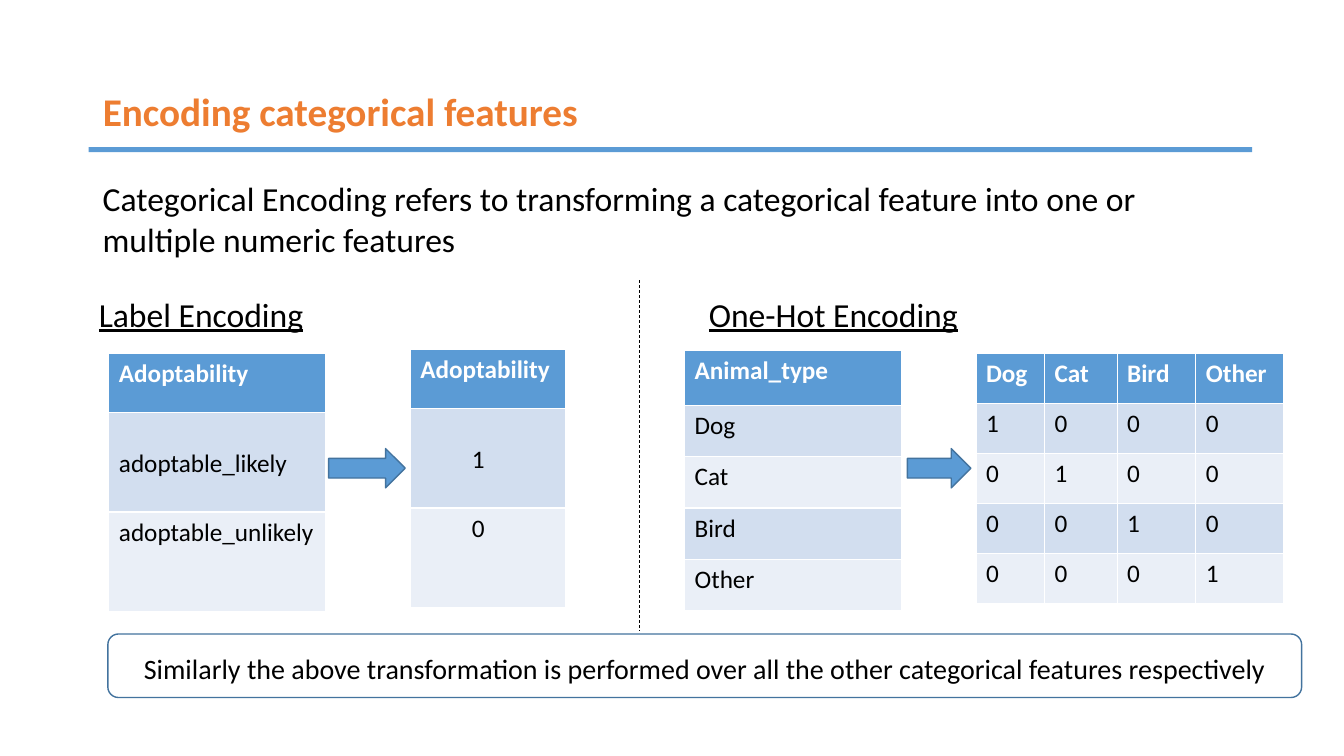
from dataclasses import dataclass
from lxml import etree
from pptx import Presentation
from pptx import util as u
from pptx.dml.color import RGBColor
from pptx.enum import dml, shapes, text
from pptx.oxml.ns import qn


@dataclass(frozen=True)
class Theme:
    font: str = "Calibri"
    title: RGBColor = RGBColor.from_string("ED7D31")
    accent: RGBColor = RGBColor.from_string("5B9BD5")
    outline: RGBColor = RGBColor.from_string("43739E")
    ink: RGBColor = RGBColor.from_string("000000")
    paper: RGBColor = RGBColor.from_string("FFFFFF")
    bands: tuple = (RGBColor.from_string("D2DEEF"), RGBColor.from_string("EAEFF7"))
    title_size: int = 28
    body_size: int = 24
    note_size: int = 20
    cell_size: int = 18


theme = Theme()
prs = Presentation()
prs.slide_width, prs.slide_height = u.Inches(13.33), u.Inches(7.5)
col, row = prs.slide_width / 133.3, prs.slide_height / 75
s = prs.slides.add_slide(prs.slide_layouts[3])


def grid(x, y, w, h):
    return int(x * col), int(y * row), int(w * col), int(h * row)


def style(p, size, color, bold=False, align=text.PP_ALIGN.LEFT):
    p.alignment = align
    p.font.name, p.font.size, p.font.bold = theme.font, u.Pt(size), bold
    p.font.color.rgb = color


title, *bodies = s.placeholders
title.left, title.top, title.width, title.height = grid(9.2, 4, 115, 14.5)
title.text_frame.text = "Encoding categorical features"
title.text_frame.vertical_anchor = text.MSO_ANCHOR.MIDDLE
p = title.text_frame.paragraphs[0]
p.line_spacing = 0.9
style(p, theme.title_size, theme.title, bold=True)

for body, x, heading in zip(bodies, (8.8, 69.3), ("Label Encoding", "One-Hot Encoding")):
    body.left, body.top, body.width, body.height = grid(x, 29.1, 56.7, 45.9)
    body.text_frame.text = heading
    p = body.text_frame.paragraphs[0]
    p.line_spacing, p.space_before = 0.9, u.Pt(10)
    style(p, theme.body_size, theme.ink)
    p.font.underline = True
    pPr = p._p.get_or_add_pPr()
    pPr.set("marL", "0")
    pPr.set("indent", "0")
    pPr.insert_element_before(etree.Element(qn("a:buNone")), "a:tabLst", "a:defRPr", "a:extLst")

kinds = shapes.MSO_SHAPE
for kind, box, fill, line in (
    (kinds.RECTANGLE, (8.8, 14.6, 115.4, 0.5), theme.accent, None),
    (kinds.RIGHT_ARROW, (32.6, 44.5, 7.6, 3.9), theme.accent, theme.outline),
    (kinds.RIGHT_ARROW, (90, 44.5, 6.3, 3.9), theme.accent, theme.outline),
    (kinds.ROUNDED_RECTANGLE, (10.7, 62.9, 118.4, 6.3), None, theme.outline),
):
    sp = s.shapes.add_shape(kind, *grid(*box))
    sp.shadow.inherit = False
    if fill is None:
        sp.fill.background()
    else:
        sp.fill.solid()
        sp.fill.fore_color.rgb = fill
    if line is None:
        sp.line.fill.background()
    else:
        sp.line.color.rgb, sp.line.width = line, u.Pt(1)

x, top, _, height = grid(63.4, 27.8, 0, 34.8)
divider = s.shapes.add_connector(shapes.MSO_CONNECTOR.STRAIGHT, x, top, x, top + height)
divider.line.color.rgb, divider.line.width = theme.ink, u.Pt(0.5)
divider.line.dash_style = dml.MSO_LINE.DASH
etree.SubElement(divider._element.spPr, qn("a:effectLst"))

animals = ["Dog", "Cat", "Bird", "Other"]
one_hot = [[str(int(a == b)) for b in animals] for a in animals]
label_rows = (5.8, 9.9, 9.9)
animal_rows = (5.4,) + (5.1,) * 4
one_hot_rows = (4.95,) * 5
tables = []
for x, y, widths, heights, values in (
    (10.8, 35.1, (21.5,), label_rows, [["Adoptability"], ["adoptable_likely"], ["adoptable_unlikely"]]),
    (40.7, 34.7, (15.4,), label_rows, [["Adoptability"], ["1"], ["0"]]),
    (67.9, 34.8, (21.5,), animal_rows, [["Animal_type"]] + [[a] for a in animals]),
    (96.8, 35.1, (6.8, 7.2, 7.8, 8.7), one_hot_rows, [animals] + one_hot),
):
    frame = s.shapes.add_table(len(heights), len(widths), *grid(x, y, sum(widths), sum(heights)))
    table = frame.table
    tables.append(table)
    for c, w in enumerate(widths):
        table.columns[c].width = int(w * col)
    for r, h in enumerate(heights):
        table.rows[r].height = int(h * row)
        for c, value in enumerate(values[r]):
            cell = table.cell(r, c)
            cell.text = value
            cell.fill.solid()
            cell.fill.fore_color.rgb = theme.bands[(r - 1) % 2] if r else theme.accent
            style(cell.text_frame.paragraphs[0], theme.cell_size,
                  theme.ink if r else theme.paper, bold=r == 0)

for table in tables[:2]:
    table.cell(1, 0).margin_top = int(3.55 * row)
for r in (1, 2):
    tables[1].cell(r, 0).margin_left = int(6.1 * col)

for box, words, size, align in (
    ((9.2, 17.2, 115, 9.1),
     "Categorical Encoding refers to transforming a categorical feature into one or multiple numeric features",
     theme.body_size, text.PP_ALIGN.LEFT),
    ((10.7, 64.1, 118.4, 4.4),
     "Similarly the above transformation is performed over all the other categorical features respectively",
     theme.note_size, text.PP_ALIGN.CENTER),
):
    tf = s.shapes.add_textbox(*grid(*box)).text_frame
    tf.word_wrap = True
    tf.text = words
    style(tf.paragraphs[0], size, theme.ink, align=align)

prs.save("out.pptx")
